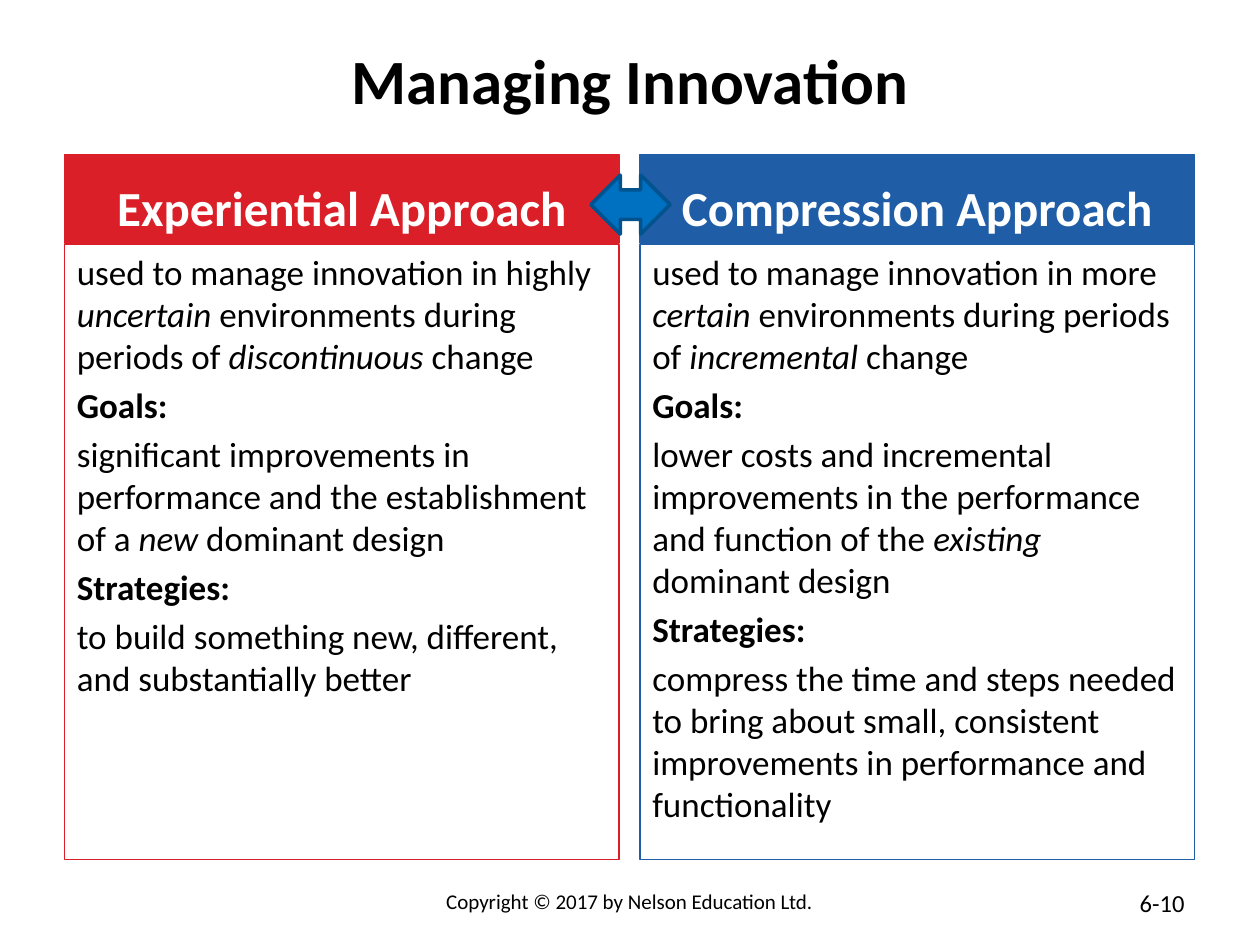
from pptx import Presentation
from pptx import util as u
from pptx.dml import color
from pptx.enum import shapes, text

PLAIN = {"bold": False, "italic": False}
BOLD = {"bold": True, "italic": False}
ITALIC = {"bold": False, "italic": True}
CENTER = text.PP_ALIGN.CENTER
LEFT = text.PP_ALIGN.LEFT
RIGHT = text.PP_ALIGN.RIGHT

COLUMN_WIDTH = 11.18
APPROACHES = [
    {
        "left": 1.3,
        "accent": "DA1F28",
        "name": "Experiential Approach",
        "details": [
            [("used to manage innovation in highly ", PLAIN), ("uncertain", ITALIC),
             (" environments during periods of ", PLAIN), ("discontinuous", ITALIC),
             (" change", PLAIN)],
            [("Goals:", BOLD)],
            [("significant improvements in performance and the establishment of a ", PLAIN),
             ("new", ITALIC), (" dominant design", PLAIN)],
            [("Strategies:", BOLD)],
            [("to build something new, different, and substantially better", PLAIN)],
        ],
    },
    {
        "left": 12.9,
        "accent": "1F5DA7",
        "name": "Compression Approach",
        "details": [
            [("used to manage innovation in more ", PLAIN), ("certain", ITALIC),
             (" environments during periods of ", PLAIN), ("incremental", ITALIC),
             (" change", PLAIN)],
            [("Goals:", BOLD)],
            [("lower costs and incremental improvements in the performance "
              "and function of the ", PLAIN),
             ("existing", ITALIC), (" dominant design", PLAIN)],
            [("Strategies:", BOLD)],
            [("compress the time and steps needed to bring about small, consistent "
              "improvements in performance and functionality", PLAIN)],
        ],
    },
]


def rgb(value):
    return color.RGBColor.from_string(value)


def apply(target, values):
    for name, value in values.items():
        setattr(target, name, value)


def place(box):
    return [u.Cm(length) for length in box]


def write(frame, paragraphs, size, ink="000000", align=LEFT,
          anchor=text.MSO_ANCHOR.TOP):
    apply(frame, {"word_wrap": True, "vertical_anchor": anchor,
                  "auto_size": text.MSO_AUTO_SIZE.NONE})
    for index, runs in enumerate(paragraphs):
        paragraph = frame.add_paragraph() if index else frame.paragraphs[0]
        gap = u.Pt(size * 0.2 if index else 0)
        apply(paragraph, {"alignment": align, "space_before": gap})
        for words, style in runs:
            run = paragraph.add_run()
            run.text = words
            apply(run.font, {"name": "Calibri", "size": u.Pt(size), **style})
            run.font.color.rgb = rgb(ink)


def add_title(slide, words):
    title = slide.shapes.title
    apply(title, dict(zip(("left", "top", "width", "height"),
                          place((1.27, 0.86, 22.86, 1.47)))))
    write(title.text_frame, [[(words, BOLD)]], 36, align=CENTER,
          anchor=text.MSO_ANCHOR.MIDDLE)


def add_block(slide, kind, box, outline, weight, fill=None):
    block = slide.shapes.add_shape(kind, *place(box))
    block.shadow.inherit = False
    if fill:
        block.fill.solid()
        block.fill.fore_color.rgb = rgb(fill)
    else:
        block.fill.background()
    block.line.color.rgb = rgb(outline)
    block.line.width = u.Pt(weight)
    return block


def add_approach(slide, left, accent, name, details):
    rectangle = shapes.MSO_SHAPE.RECTANGLE
    heading = add_block(slide, rectangle, (left, 3.12, COLUMN_WIDTH, 1.78),
                        accent, 0.75, accent)
    write(heading.text_frame, [[(name, BOLD)]], 28, "FFFFFF", CENTER,
          text.MSO_ANCHOR.BOTTOM)
    description = add_block(slide, rectangle, (left, 4.93, COLUMN_WIDTH, 12.4),
                            accent, 0.75)
    write(description.text_frame, details, 20)


def add_label(slide, box, words, size, align):
    label = slide.shapes.add_textbox(*place(box))
    write(label.text_frame, [[(words, PLAIN)]], size, align=align)


def main():
    deck = Presentation()
    apply(deck, {"slide_width": u.Cm(25.4), "slide_height": u.Cm(19.05)})
    slide = deck.slides.add_slide(deck.slide_layouts[5])
    add_title(slide, "Managing Innovation")
    for approach in APPROACHES:
        add_approach(slide, **approach)
    add_label(slide, (18.21, 17.78, 5.92, 0.89), "6-10", 14, RIGHT)
    add_block(slide, shapes.MSO_SHAPE.LEFT_RIGHT_ARROW, (11.91, 3.53, 1.6, 1.19),
              "00538E", 2, "0070C0")
    add_label(slide, (7.19, 17.78, 11, 0.89),
              "Copyright © 2017 by Nelson Education Ltd.", 12, CENTER)
    deck.save("out.pptx")


if __name__ == "__main__":
    main()
